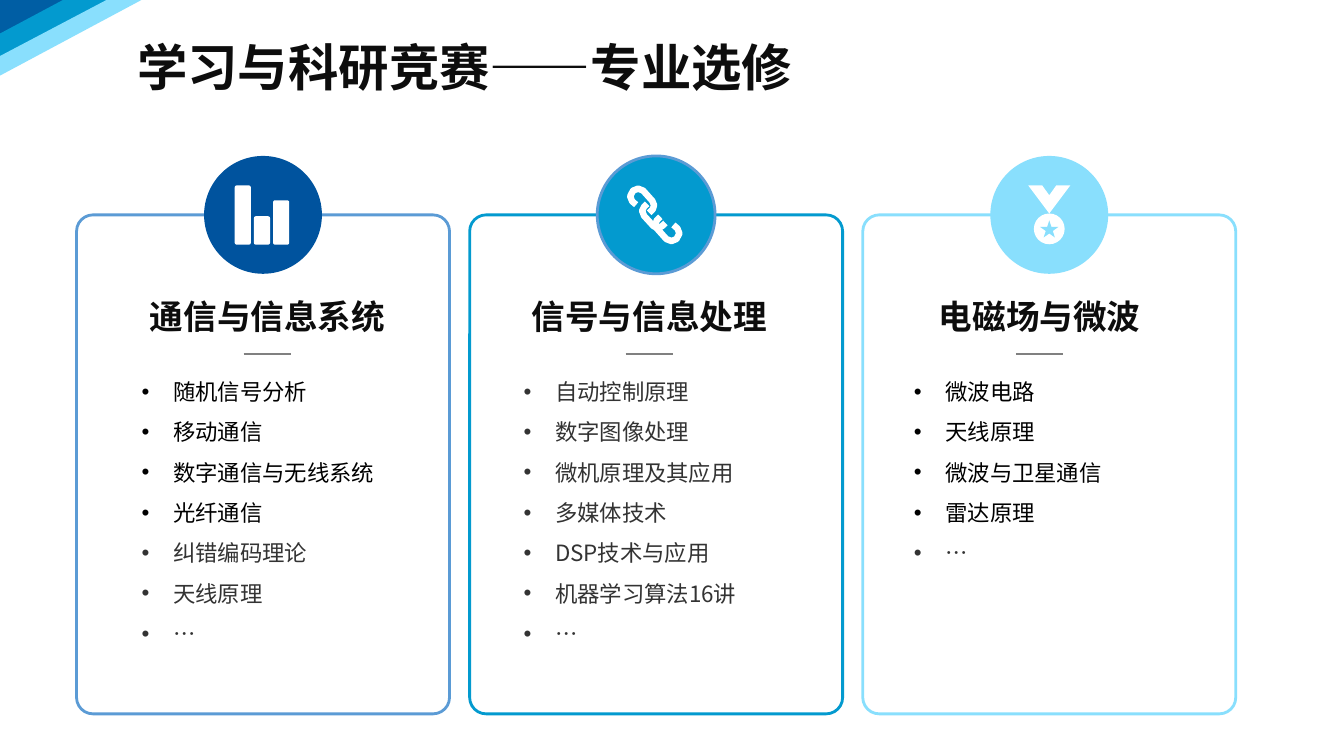
from lxml.etree import SubElement
from pptx import Presentation
from pptx.dml.color import RGBColor
from pptx.enum.lang import MSO_LANGUAGE_ID as Lang
from pptx.enum.shapes import MSO_CONNECTOR as Connector, MSO_SHAPE as Shape
from pptx.enum.text import MSO_ANCHOR as Anchor, MSO_AUTO_SIZE as AutoSize, PP_ALIGN as Align
from pptx.oxml.ns import qn
from pptx.util import Pt

NAVY = RGBColor(0x00, 0x53, 0x9E)
DEEP = RGBColor(0x00, 0x5E, 0xA4)
BLUE = RGBColor(0x5B, 0x9B, 0xD5)
CYAN = RGBColor(0x03, 0x9A, 0xCF)
SKY = RGBColor(0x89, 0xDF, 0xFD)
WHITE = RGBColor(0xFF, 0xFF, 0xFF)
BLACK = RGBColor(0x00, 0x00, 0x00)
INK = RGBColor(0x0D, 0x0D, 0x0D)
DARK = RGBColor(0x33, 0x33, 0x33)
GRAY = RGBColor(0x80, 0x80, 0x80)
CJK = "Noto Sans CJK SC"


def paint(shape, fill=None, line=None, width=2):
    """Give a shape its fill and outline, and no shadow."""
    shape.shadow.inherit = False
    if fill is None:
        shape.fill.background()
    else:
        shape.fill.solid()
        shape.fill.fore_color.rgb = fill
    if line is None:
        shape.line.fill.background()
    else:
        shape.line.color.rgb = line
        shape.line.width = Pt(width)


def add_preset(slide, kind, left, top, width, height, **colours):
    """Add a painted preset shape."""
    shape = slide.shapes.add_shape(kind, Pt(left), Pt(top), Pt(width), Pt(height))
    paint(shape, **colours)
    return shape


def add_outline(slide, x, y, points, close=True, **colours):
    """Add a painted freeform whose points are relative to x, y."""
    start, *rest = [(Pt(x + dx), Pt(y + dy)) for dx, dy in points]
    builder = slide.shapes.build_freeform(*start, scale=1)
    builder.add_line_segments(rest, close=close)
    paint(builder.convert_to_shape(), **colours)


def add_run(paragraph, text, size, colour, bold=False, latin=CJK):
    """Add one formatted run of Chinese text."""
    run = paragraph.add_run()
    run.text = text
    font = run.font
    font.size, font.bold, font.name = Pt(size), bold, latin
    font.color.rgb = colour
    font.language_id = Lang.SIMPLIFIED_CHINESE
    SubElement(run._r.get_or_add_rPr(), qn("a:ea"), typeface=CJK)


def add_text_frame(slide, left, top, width, height):
    """Add a wrapping text box and return its frame."""
    frame = slide.shapes.add_textbox(Pt(left), Pt(top), Pt(width), Pt(height)).text_frame
    frame.word_wrap = True
    return frame


def add_corner(slide):
    """Draw the diagonal bands in the top left corner."""
    bands = [
        (DEEP, [(0, 26), (0, 0), (49, 0)]),
        (CYAN, [(0, 44), (0, 24), (45, 0), (81, 0)]),
        (SKY, [(0, 54), (0, 40), (76, 0), (101, 0)]),
    ]
    for colour, points in bands:
        add_outline(slide, 0, 0, points, fill=colour)


def add_title(slide, left, top, width, height):
    """Place and fill the slide title."""
    title = slide.shapes.title
    title.left, title.top, title.width, title.height = map(Pt, (left, top, width, height))
    frame = title.text_frame
    frame.auto_size = AutoSize.NONE
    frame.word_wrap = False
    frame.vertical_anchor = Anchor.TOP
    heading = frame.paragraphs[0]
    heading.alignment = Align.LEFT
    heading.line_spacing = 1.0
    add_run(heading, "学习与科研竞赛——专业选修", 36, INK, bold=True)


def draw_bars(slide, x, y):
    """Draw the bar chart icon centred on x, y."""
    for index, top in enumerate((-21, 1, -10.4)):
        bar = add_preset(slide, Shape.ROUNDED_RECTANGLE, x - 20.2 + 13.7 * index, y + top,
                         11.5, 21.3 - top, fill=WHITE)
        bar.adjustments[0] = 0.12


def draw_chain(slide, x, y):
    """Draw the chain icon centred on x, y."""
    upper = [(-13.3, -7.2), (-16.2, -9.7), (-17.6, -13.3), (-15.5, -17.3), (-11.9, -18.7),
             (-8.3, -17.3), (-1.8, -10), (-0.5, -7), (-1.4, -4), (-4, -1.4)]
    middle = [(-5.4, -7.9), (-7.6, -5.8), (-9, -2.9), (-7.6, 0.7),
              (-1, 7.9), (2.2, 9.7), (5.4, 7.9), (7.6, 5.8)]
    lower = [(-dx, -dy) for dx, dy in upper]
    for link in (upper, middle, lower):
        add_outline(slide, x - 1, y, link, close=False, line=WHITE, width=4.6)


def draw_medal(slide, x, y):
    """Draw the medal icon centred on x, y."""
    ribbon = [(-15, -21), (-5, -21), (0, -14), (5, -21), (15, -21), (0, -1)]
    add_outline(slide, x, y, ribbon, fill=WHITE)
    add_preset(slide, Shape.OVAL, x - 11, y - 1, 22, 22, fill=WHITE)
    add_preset(slide, Shape.STAR_5_POINT, x - 6.5, y + 4, 13, 12.2, fill=SKY)


def add_card(slide, left, top, width, height, card):
    """Build one course card with its badge, heading and list."""
    frame_colour, badge_colour, badge_line, draw_icon, inset, heading, core, extra = card
    border = add_preset(slide, Shape.ROUNDED_RECTANGLE, left, top, width, height,
                        line=frame_colour)
    border.adjustments[0] = 0.044
    centre, badge = left + width / 2, 84.2
    add_preset(slide, Shape.OVAL, centre - badge / 2, top - badge / 2, badge, badge,
               fill=badge_colour, line=badge_line)
    draw_icon(slide, centre, top)

    text_left = left + inset
    heading_line = add_text_frame(slide, text_left, top + 54, 216.7, 36).paragraphs[0]
    heading_line.alignment = Align.CENTER
    add_run(heading_line, heading, 24, INK, bold=True, latin="Arial")

    rule_left, rule_y = Pt(text_left + 91.4), Pt(top + 99.3)
    rule = slide.shapes.add_connector(Connector.STRAIGHT, rule_left, rule_y,
                                      rule_left + Pt(33.8), rule_y)
    rule.line.color.rgb = GRAY
    rule.line.width = Pt(1.75)
    SubElement(rule._element.spPr, qn("a:effectLst"))

    courses = [(name, BLACK) for name in core] + [(name, DARK) for name in extra]
    listing = add_text_frame(slide, text_left + 11.4, top + 103.6, 205.2, 29.5 * len(courses))
    for index, (name, colour) in enumerate(courses):
        course = listing.add_paragraph() if index else listing.paragraphs[0]
        properties = course._p.get_or_add_pPr()
        properties.set("marL", str(Pt(22.5)))
        properties.set("indent", str(-Pt(22.5)))
        SubElement(properties, qn("a:buFont"), typeface="Arial")
        SubElement(properties, qn("a:buChar"), char="•")
        course.alignment = Align.JUSTIFY
        course.line_spacing = 1.5
        add_run(course, name, 16, colour)


def main():
    """Build the slide and save it."""
    deck = Presentation()
    deck.slide_width, deck.slide_height = Pt(960), Pt(540)
    slide = deck.slides.add_slide(deck.slide_layouts[5])
    add_corner(slide)
    add_title(slide, 90.7, 22.3, 493, 51)
    cards = [
        (BLUE, NAVY, None, draw_bars, 28, "通信与信息系统",
         ["随机信号分析", "移动通信", "数字通信与无线系统", "光纤通信"],
         ["纠错编码理论", "天线原理", "…"]),
        (CYAN, CYAN, BLUE, draw_chain, 20, "信号与信息处理", [],
         ["自动控制原理", "数字图像处理", "微机原理及其应用", "多媒体技术",
          "DSP技术与应用", "机器学习算法16讲", "…"]),
        (SKY, SKY, None, draw_medal, 18, "电磁场与微波",
         ["微波电路", "天线原理", "微波与卫星通信", "雷达原理"], ["…"]),
    ]
    for index, card in enumerate(cards):
        add_card(slide, 54.7 + 280.8 * index, 153.5, 266.4, 356.4, card)
    deck.save("out.pptx")


if __name__ == "__main__":
    main()
